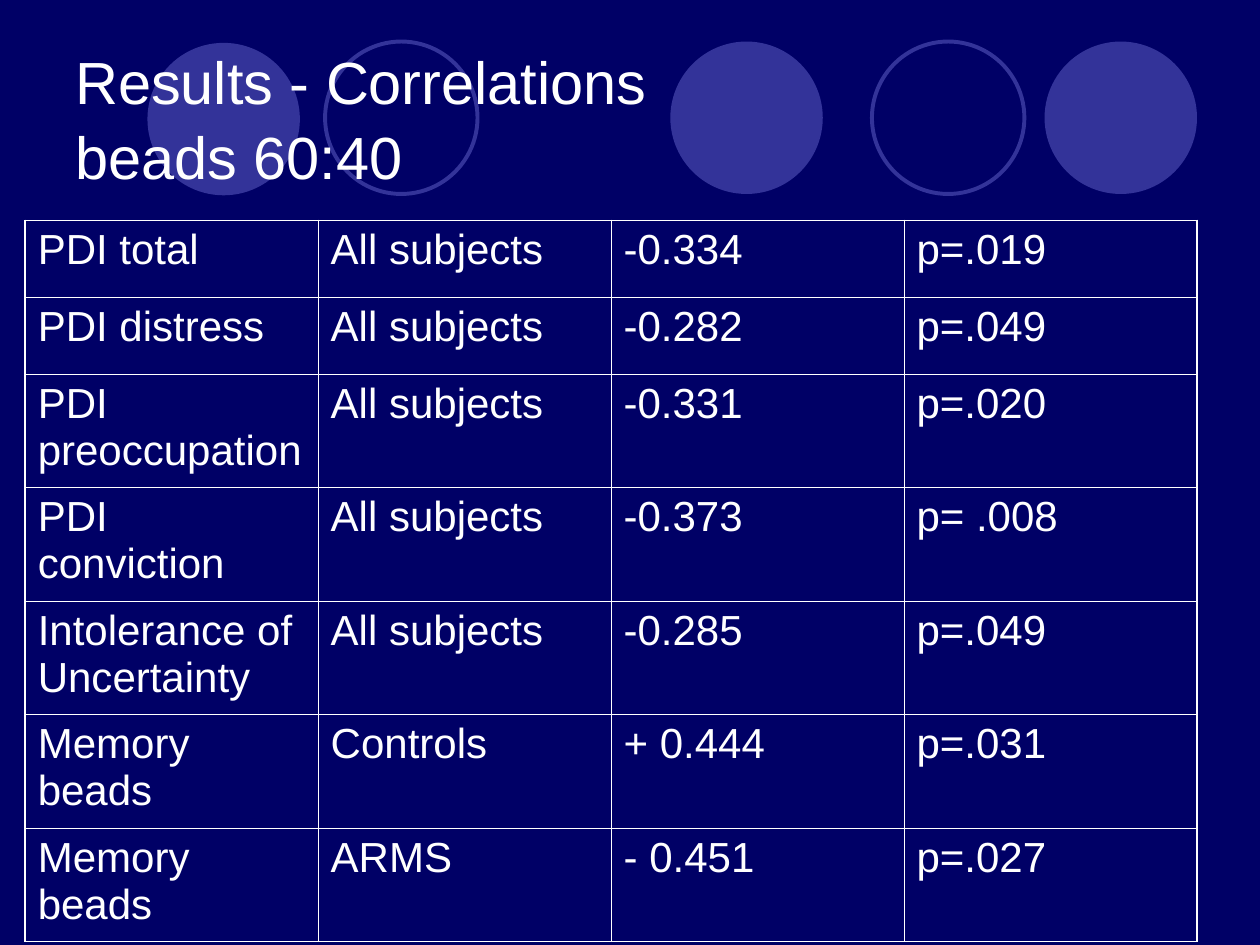
from lxml import etree
from pptx import Presentation
from pptx import util as u
from pptx.dml.color import RGBColor
from pptx.enum import shapes, text
from pptx.oxml.ns import qn

NAVY, INDIGO, WHITE = "000066", "333399", "FFFFFF"
CIRCLE_SIZE = 1.21
FILLED_CIRCLES = [(1.17, 0.34), (5.32, 0.33), (8.29, 0.33)]
OPEN_CIRCLES = [(2.58, 0.33), (6.92, 0.33)]
ROW_HEIGHTS = [0.61] * 2 + [0.9] * 5
RESULTS = [
    ("PDI total", "All subjects", "-0.334", "p=.019"),
    ("PDI distress", "All subjects", "-0.282", "p=.049"),
    ("PDI preoccupation", "All subjects", "-0.331", "p=.020"),
    ("PDI conviction", "All subjects", "-0.373", "p= .008"),
    ("Intolerance of Uncertainty", "All subjects", "-0.285", "p=.049"),
    ("Memory beads", "Controls", "+ 0.444", "p=.031"),
    ("Memory beads", "ARMS", "- 0.451", "p=.027"),
]


def color(value):
    """Turn a hex string into a colour."""
    return RGBColor.from_string(value)


def style(para, size):
    """Set the white Arial font of a paragraph."""
    para.font.name = "Arial"
    para.font.size = u.Pt(size)
    para.font.color.rgb = color(WHITE)


def add_circle(page, left, top, filled):
    """Add a filled or an open circle."""
    size = u.Inches(CIRCLE_SIZE)
    circle = page.shapes.add_shape(
        shapes.MSO_SHAPE.OVAL, u.Inches(left), u.Inches(top), size, size)
    circle.shadow.inherit = False
    if filled:
        circle.fill.solid()
        circle.fill.fore_color.rgb = color(INDIGO)
        circle.line.fill.background()
    else:
        circle.fill.background()
        circle.line.color.rgb = color(INDIGO)
        circle.line.width = u.Pt(2.25)


def add_title(page, words):
    """Add the slide title, centred vertically in its box."""
    box = page.shapes.add_textbox(
        u.Inches(0.5), u.Inches(0.3), u.Inches(9), u.Inches(1.25))
    frame = box.text_frame
    frame.word_wrap = True
    frame.vertical_anchor = text.MSO_ANCHOR.MIDDLE
    para = frame.paragraphs[0]
    para.text = words
    para.line_spacing = 1.05
    style(para, 34)


def add_border(cell, side, points):
    """Draw one side (L, R, T or B) of a cell in white."""
    props = cell._tc.get_or_add_tcPr()
    line = etree.SubElement(props, qn(f"a:ln{side}"), w=str(u.Pt(points)))
    fill = etree.SubElement(line, qn("a:solidFill"))
    etree.SubElement(fill, qn("a:srgbClr"), val=WHITE)


def fill_cell(cell, words, outer_sides):
    """Write a cell, with heavier borders on its outer sides."""
    cell.text = words
    cell.margin_left = cell.margin_right = u.Inches(0.1)
    cell.margin_top = cell.margin_bottom = u.Inches(0.05)
    para = cell.text_frame.paragraphs[0]
    para.space_before = u.Pt(6)
    style(para, 24)
    for side in "LRTB":
        add_border(cell, side, 1.08 if side in outer_sides else 0.45)
    cell.fill.background()


def add_results(page):
    """Add the table of correlations."""
    rows, cols = len(RESULTS), len(RESULTS[0])
    table = page.shapes.add_table(
        rows, cols, u.Inches(0.2), u.Inches(1.75),
        u.Inches(9.3), u.Inches(sum(ROW_HEIGHTS))).table
    table.first_row = table.horz_banding = False
    for row, height in zip(table.rows, ROW_HEIGHTS):
        row.height = u.Inches(height)
    for r, record in enumerate(RESULTS):
        for c, words in enumerate(record):
            edges = {"L": c == 0, "R": c == cols - 1,
                     "T": r == 0, "B": r == rows - 1}
            outer_sides = [side for side, outer in edges.items() if outer]
            fill_cell(table.cell(r, c), words, outer_sides)


def main():
    """Build the slide and save it."""
    deck = Presentation()
    deck.slide_width, deck.slide_height = u.Inches(10), u.Inches(7.5)
    page = deck.slides.add_slide(deck.slide_layouts[6])
    page.background.fill.solid()
    page.background.fill.fore_color.rgb = color(NAVY)
    for left, top in FILLED_CIRCLES:
        add_circle(page, left, top, filled=True)
    for left, top in OPEN_CIRCLES:
        add_circle(page, left, top, filled=False)
    add_title(page, "Results - Correlations\vbeads 60:40")
    add_results(page)
    deck.save("out.pptx")


if __name__ == "__main__":
    main()
